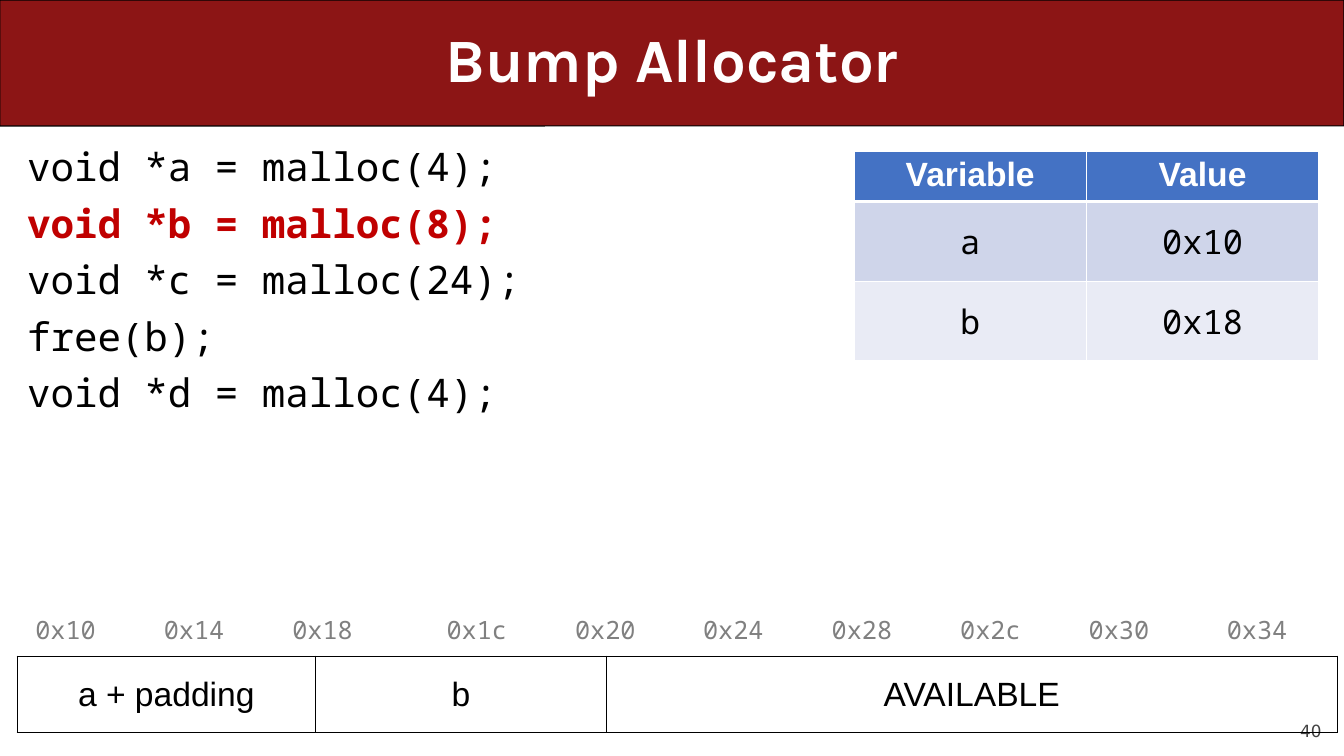
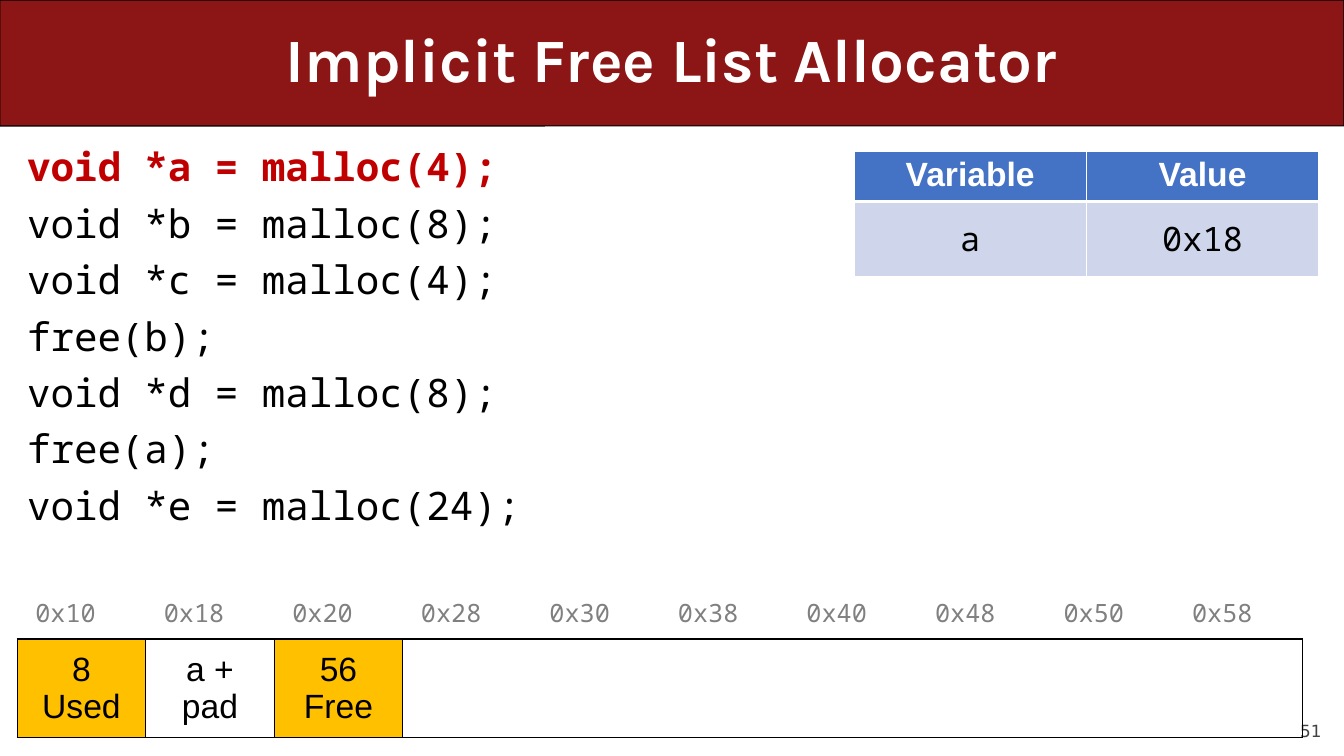
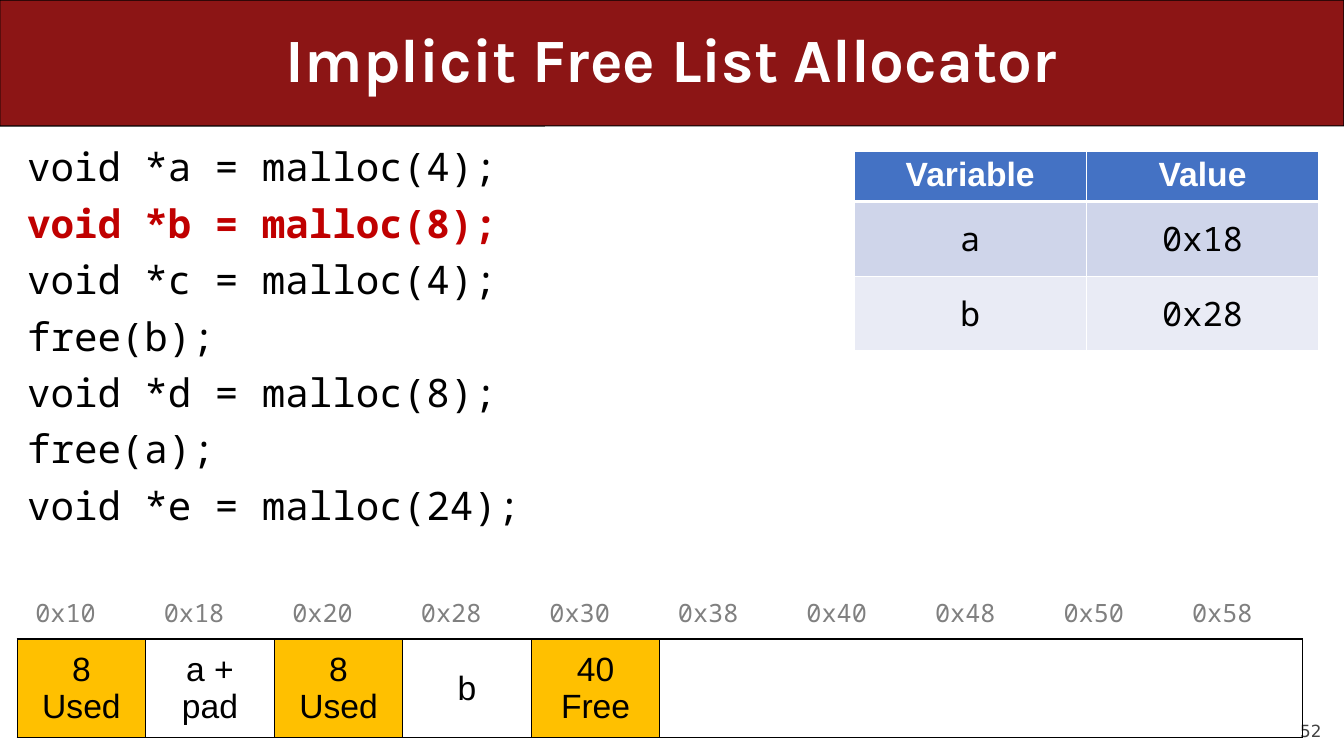
import pptx
import pptx.dml.color
import pptx.enum.shapes
import pptx.enum.text
import pptx.oxml
import pptx.oxml.ns
import pptx.util

WIDTH, HEIGHT = 13.33, 7.5
BAND_HEIGHT = HEIGHT / 6
MARGIN = 0.17
WORD_WIDTH = 1.275
MONO, SANS, HEADING, FOOTER = "Noto Sans Mono", "Arial", "Karla", "DejaVu Sans"
BLACK, WHITE, CARDINAL, RED = "000000", "FFFFFF", "8C1515", "C00000"
BLUE, BAND_DARK, BAND_LIGHT = "4472C4", "CFD5EA", "E9EBF5"
AMBER, GREY, DARK_GREY = "FFC000", "808080", "424242"
NO_TABLE_STYLE = "{2D5ABB26-0587-4C30-8999-92F81FD0307C}"
ALIGN = pptx.enum.text.PP_ALIGN
ANCHOR = pptx.enum.text.MSO_ANCHOR
inch = pptx.util.Inches


def color(hex_value):
    """Turn a hex string into a colour."""
    return pptx.dml.color.RGBColor.from_string(hex_value)


def write(frame, lines, size, font, ink, align, bold=False, before=None, spacing=None, marked=None):
    """Write one paragraph per line, with the marked line bold and red."""
    for index, line in enumerate(lines):
        paragraph = frame.paragraphs[0] if index == 0 else frame.add_paragraph()
        paragraph.alignment = align
        if before is not None:
            paragraph.space_before = pptx.util.Pt(before)
        if spacing is not None:
            paragraph.line_spacing = spacing
        run = paragraph.add_run()
        run.text = line
        run.font.size = pptx.util.Pt(size)
        run.font.name = font
        run.font.bold = bold or index == marked
        run.font.color.rgb = color(RED if index == marked else ink)


def text_area(slide, box, anchor, inset=None):
    """Add a wrapping text box and return its frame."""
    frame = slide.shapes.add_textbox(*map(inch, box)).text_frame
    frame.word_wrap = True
    frame.vertical_anchor = anchor
    if inset is not None:
        frame.margin_left = frame.margin_right = inch(inset)
        frame.margin_top = frame.margin_bottom = inch(inset)
    return frame


def plain_table(slide, left, top, widths, heights):
    """Add a table without a style, sized by its columns and rows."""
    grid = slide.shapes.add_table(len(heights), len(widths), inch(left), inch(top),
                                  inch(sum(widths)), inch(sum(heights))).table
    grid.first_row = grid.horz_banding = False
    grid._tbl.tblPr.find(pptx.oxml.ns.qn("a:tableStyleId")).text = NO_TABLE_STYLE
    for column, width in zip(grid.columns, widths):
        column.width = inch(width)
    for row, height in zip(grid.rows, heights):
        row.height = inch(height)
    return grid


def border(cell, ink, sides="LRTB", bottom=1):
    """Draw the given sides of a cell, before its fill is set."""
    properties = cell._tc.get_or_add_tcPr()
    for side in sides:
        points = bottom if side == "B" else 1
        properties.append(pptx.oxml.parse_xml(
            f'<a:ln{side} {pptx.oxml.ns.nsdecls("a")} w="{pptx.util.Pt(points)}">'
            f'<a:solidFill><a:srgbClr val="{ink}"/></a:solidFill></a:ln{side}>'))


def paint(cell, fill):
    """Fill a cell, or leave it clear."""
    if fill is None:
        cell.fill.background()
    else:
        cell.fill.solid()
        cell.fill.fore_color.rgb = color(fill)


def base_slide(deck, title, number):
    """Start a slide with its page number, title band and title."""
    slide = deck.slides.add_slide(deck.slide_layouts[6])
    footer = text_area(slide, (0.9 * WIDTH, 6.95, 1.11, 0.4), ANCHOR.BOTTOM, 0)
    write(footer, [str(number)], 12, FOOTER, DARK_GREY, ALIGN.RIGHT, before=5)
    band = slide.shapes.add_shape(pptx.enum.shapes.MSO_SHAPE.ROUNDED_RECTANGLE,
                                  0, 0, inch(WIDTH), inch(BAND_HEIGHT))
    band.adjustments[0] = 0.001
    band.shadow.inherit = False
    band.fill.solid()
    band.fill.fore_color.rgb = color(CARDINAL)
    band.line.color.rgb = color(BLACK)
    band.line.width = pptx.util.Pt(0.74)
    heading = text_area(slide, (0.5, 0, WIDTH - 1, BAND_HEIGHT), ANCHOR.MIDDLE)
    write(heading, [title], 44, HEADING, WHITE, ALIGN.CENTER, bold=True, spacing=0.9)
    return slide


def code_listing(slide, box, statements, current):
    """Show the program with the current statement marked."""
    write(text_area(slide, box, ANCHOR.TOP), statements, 28, MONO, BLACK, ALIGN.LEFT,
          before=10, spacing=0.9, marked=current)


def variable_table(slide, left, top, variables, row_height):
    """Show the address held by each variable."""
    rows = [("Variable", "Value")] + variables
    grid = plain_table(slide, left, top, [2.305] * 2, [0.47] + [row_height] * len(variables))
    for r, row in enumerate(rows):
        for c, entry in enumerate(row):
            cell = grid.cell(r, c)
            if r == 0:
                border(cell, WHITE, bottom=3)
                paint(cell, BLUE)
                write(cell.text_frame, [entry], 24, SANS, WHITE, ALIGN.CENTER, bold=True)
            else:
                border(cell, WHITE, sides="LRB" if r == 1 else "LRTB")
                paint(cell, BAND_DARK if r % 2 else BAND_LIGHT)
                cell.vertical_anchor = ANCHOR.MIDDLE
                write(cell.text_frame, [entry], 24, MONO, BLACK, ALIGN.CENTER)


def memory_cell(grid, row, start, span, anchor):
    """Prepare a memory cell covering some columns."""
    cell = grid.cell(row, start)
    if span > 1:
        cell.merge(grid.cell(row, start + span - 1))
    cell.margin_left = cell.margin_right = inch(0.18)
    cell.margin_top = cell.margin_bottom = inch(0.09)
    cell.vertical_anchor = anchor
    return cell


def memory_map(slide, left, top, widths, block_height, addresses, blocks):
    """Draw addresses above the heap blocks, each with its column span."""
    grid = plain_table(slide, left, top, widths, [0.76, block_height])
    start = 0
    for address, span in addresses:
        cell = memory_cell(grid, 0, start, span, ANCHOR.BOTTOM)
        paint(cell, None)
        write(cell.text_frame, [f"0x{address:02x}"], 18, MONO, GREY, ALIGN.LEFT)
        start += span
    start = 0
    for lines, span, fill in blocks:
        cell = memory_cell(grid, 1, start, span, ANCHOR.MIDDLE)
        border(cell, BLACK)
        for covered in range(start + 1, start + span):
            border(grid.cell(1, covered), BLACK, "RTB" if covered == start + span - 1 else "TB")
        paint(cell, fill)
        write(cell.text_frame, lines, 24, SANS, BLACK, ALIGN.CENTER)
        start += span


def allocator_slide(deck, title, number, statements, current, variables, row_height, memory):
    """Build one step of an allocator walkthrough."""
    slide = base_slide(deck, title, number)
    code_listing(slide, (MARGIN, 1.42, WIDTH - 0.41, 0.56 * len(statements) + 0.2),
                 statements, current)
    memory_map(slide, MARGIN, **memory)
    variable_table(slide, 8.47, HEIGHT / 5, variables, row_height)


def bump_memory():
    """Describe the heap of the bump allocator."""
    word = WORD_WIDTH
    spans = [1, 1, 2, 1, 2, 1, 1, 1, 1, 1]
    return dict(top=5.75, block_height=0.76,
                widths=[word, word, 0.41, 1.12, word, 0.49, 0.78, word, word, word, 1.37, word],
                addresses=list(zip(range(0x10, 0x38, 4), spans)),
                blocks=[(["a + padding"], 3, None), (["b"], 3, None), (["AVAILABLE"], 6, None)])


def implicit_memory(*blocks):
    """Describe a ten-word heap whose last block takes the remaining words."""
    words = 10
    return dict(top=5.58, block_height=0.93, widths=[WORD_WIDTH] * words,
                addresses=[(address, 1) for address in range(0x10, 0x60, 8)],
                blocks=[*blocks, ([], words - len(blocks), None)])


def header(size, state):
    """Describe a block header."""
    return [str(size), state], 1, AMBER


def payload(label):
    """Describe a one-word payload."""
    return [label], 1, None


def main():
    """Build and save the deck."""
    deck = pptx.Presentation()
    deck.slide_width, deck.slide_height = inch(WIDTH), inch(HEIGHT)
    bump_code = ["void *a = malloc(4);", "void *b = malloc(8);", "void *c = malloc(24);",
                 "free(b);", "void *d = malloc(4);"]
    implicit_code = ["void *a = malloc(4);", "void *b = malloc(8);", "void *c = malloc(4);",
                     "free(b);", "void *d = malloc(8);", "free(a);", "void *e = malloc(24);"]
    implicit_title = "Implicit Free List Allocator"
    first_block = header(8, "Used"), payload("a + pad")
    allocator_slide(deck, "Bump Allocator", 40, bump_code, 1,
                    [("a", "0x10"), ("b", "0x18")], 0.79, bump_memory())
    allocator_slide(deck, implicit_title, 51, implicit_code, 0, [("a", "0x18")], 0.74,
                    implicit_memory(*first_block, header(56, "Free")))
    allocator_slide(deck, implicit_title, 52, implicit_code, 1,
                    [("a", "0x18"), ("b", "0x28")], 0.74,
                    implicit_memory(*first_block, header(8, "Used"), payload("b"),
                                    header(40, "Free")))
    deck.save("out.pptx")


main()
